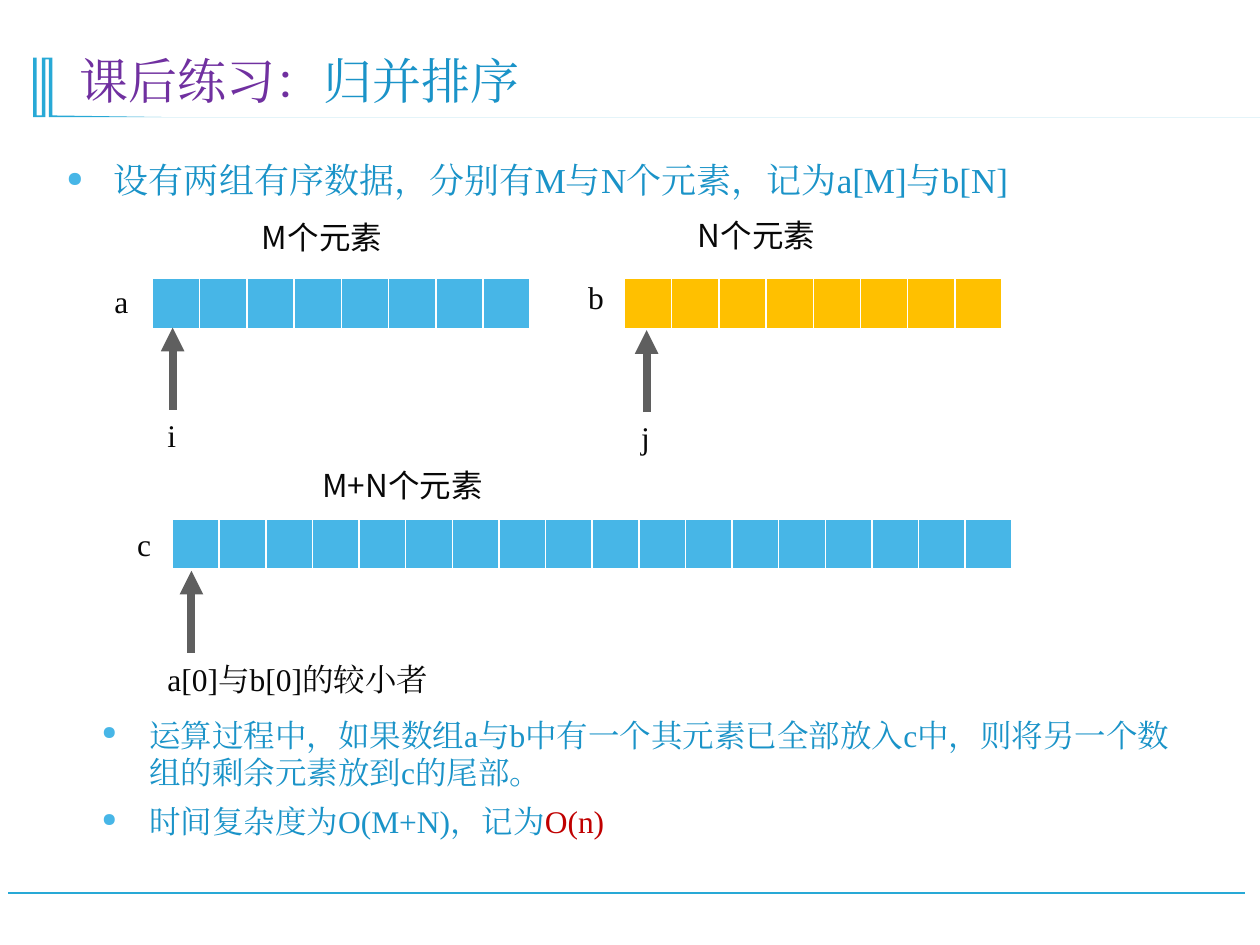
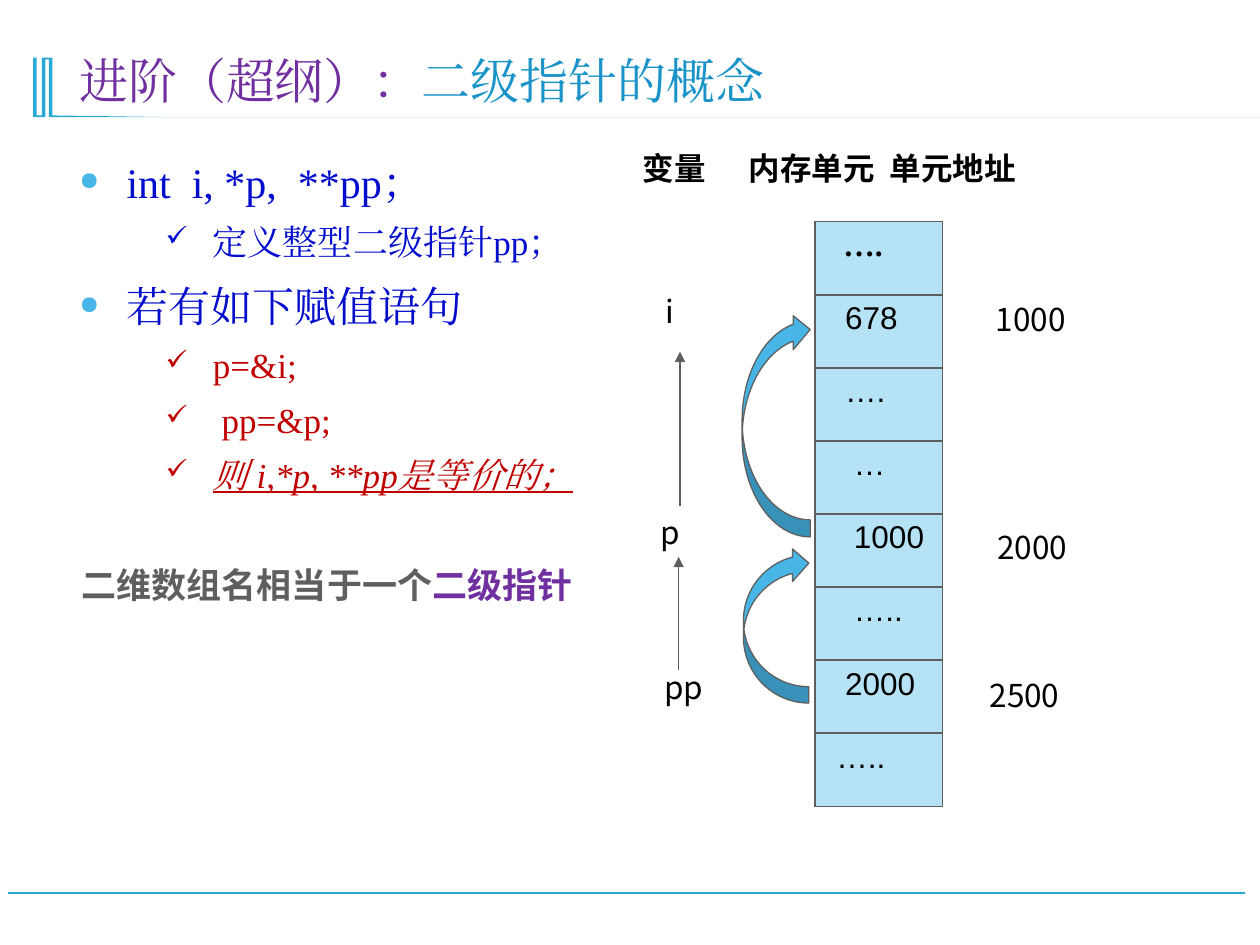
"""Builds two lecture slides: merging sorted arrays and pointers to pointers."""
from dataclasses import dataclass, replace
from typing import Optional, Sequence

import lxml.etree
import pptx
import pptx.dml.color
import pptx.enum.shapes
import pptx.enum.text
import pptx.oxml
import pptx.oxml.ns
import pptx.util

Pt = pptx.util.Pt
qn = pptx.oxml.ns.qn


@dataclass(frozen=True)
class Theme:
    """Colours, fonts and type sizes."""
    accent: str = "28A9D6"
    blue: str = "1A93C8"
    sky: str = "47B6E7"
    pale: str = "B5E2F5"
    gold: str = "FFC000"
    purple: str = "7030A0"
    navy: str = "030DCD"
    red: str = "C00000"
    grey: str = "5F5F5F"
    ink: str = "080808"
    black: str = "000000"
    white: str = "FFFFFF"
    serif: str = "Times New Roman"
    sans: str = "Noto Sans CJK SC"
    digits: str = "Arial"
    title: float = 28
    lead: float = 24
    body: float = 20
    label: float = 18


THEME = Theme()


@dataclass(frozen=True)
class Span:
    """One run of text with its look."""
    text: str
    size: float = THEME.label
    color: str = THEME.ink
    font: str = THEME.serif
    bold: bool = False
    italic: bool = False
    underline: bool = False


@dataclass(frozen=True)
class Bullet:
    """Bullet mark and spacing of a paragraph level."""
    mark: str
    percent: int
    indent: float
    spacing: float
    before: float = 0
    color: Optional[str] = None
    level: int = 0


@dataclass(frozen=True)
class Line:
    """A paragraph made of spans."""
    spans: Sequence[Span]
    bullet: Optional[Bullet] = None


@dataclass(frozen=True)
class Box:
    """Position and size in points."""
    left: float
    top: float
    width: float
    height: float = 28.8

    def lengths(self) -> list:
        """Returns the four values as lengths."""
        return [Pt(v) for v in (self.left, self.top, self.width, self.height)]


@dataclass(frozen=True)
class Label:
    """A span at a place."""
    span: Span
    box: Box


@dataclass(frozen=True)
class Arrow:
    """A vertical arrow pointing up."""
    x: float
    bottom: float
    top: float
    weight: float


@dataclass(frozen=True)
class Array:
    """A row of equal, empty cells."""
    box: Box
    count: int
    color: str


@dataclass(frozen=True)
class Memory:
    """Content of one memory cell and its left margin."""
    span: Span
    margin: float


def rgb(value: str) -> pptx.dml.color.RGBColor:
    """Turns a hex string into a colour."""
    return pptx.dml.color.RGBColor.from_string(value)


def child(parent, tag: str, **attributes: str):
    """Appends a drawing element."""
    return lxml.etree.SubElement(parent, qn(tag), attributes)


def add_span(paragraph, span: Span) -> None:
    """Adds a run to a paragraph."""
    run = paragraph.add_run()
    run.text = span.text
    font = run.font
    font.size, font.name, font.bold = Pt(span.size), span.font, span.bold
    font.color.rgb = rgb(span.color)
    if span.italic:
        font.italic = True
    if span.underline:
        font.underline = True
    child(run.font._element, "a:ea", typeface=span.font)


def apply_bullet(paragraph, bullet: Bullet, first: bool) -> None:
    """Sets the bullet mark, indent and spacing."""
    properties = paragraph._p.get_or_add_pPr()
    properties.set("marL", str(Pt(bullet.indent)))
    properties.set("indent", str(-Pt(27)))
    if bullet.color:
        child(child(properties, "a:buClr"), "a:srgbClr", val=bullet.color)
    child(properties, "a:buSzPct", val=str(bullet.percent * 1000))
    child(properties, "a:buChar", char=bullet.mark)
    paragraph.level = bullet.level
    paragraph.line_spacing = bullet.spacing
    if not first:
        paragraph.space_before = Pt(bullet.before)


def add_text(slide, box: Box, lines: Sequence[Line], bottom: bool = False) -> None:
    """Adds a wrapped text box."""
    frame = slide.shapes.add_textbox(*box.lengths()).text_frame
    frame.word_wrap = True
    if bottom:
        frame.vertical_anchor = pptx.enum.text.MSO_ANCHOR.BOTTOM
    for index, line in enumerate(lines):
        paragraph = frame.add_paragraph() if index else frame.paragraphs[0]
        if line.bullet:
            apply_bullet(paragraph, line.bullet, index == 0)
        for span in line.spans:
            add_span(paragraph, span)


def add_label(slide, label: Label) -> None:
    """Adds a one-line label."""
    add_text(slide, label.box, [Line([label.span])])


def add_line(slide, start: tuple, end: tuple, color: str, weight: float):
    """Adds a straight line without shadow."""
    kind = pptx.enum.shapes.MSO_CONNECTOR.STRAIGHT
    line = slide.shapes.add_connector(kind, *[Pt(v) for v in (*start, *end)])
    line.line.color.rgb = rgb(color)
    line.line.width = Pt(weight)
    child(line._element.spPr, "a:effectLst")
    return line


def add_arrow(slide, arrow: Arrow) -> None:
    """Adds an upward arrow."""
    line = add_line(slide, (arrow.x, arrow.bottom), (arrow.x, arrow.top), THEME.grey, arrow.weight)
    child(line.line._get_or_add_ln(), "a:tailEnd", type="triangle")


def paint_cell(cell, color: str, edge: str, bottom: float) -> None:
    """Fills a cell and draws its borders."""
    cell.fill.solid()
    cell.fill.fore_color.rgb = rgb(color)
    properties = cell._tc.get_or_add_tcPr()
    for index, side in enumerate("LRTB"):
        weight = bottom if side == "B" else 1
        border = lxml.etree.Element(qn(f"a:ln{side}"), {"w": str(Pt(weight))})
        child(child(border, "a:solidFill"), "a:srgbClr", val=edge)
        properties.insert(index, border)


def add_grid(slide, rows: int, columns: int, box: Box):
    """Adds a plain table with equal rows and columns."""
    table = slide.shapes.add_table(rows, columns, *box.lengths()).table
    table.first_row = table.horz_banding = False
    for column in table.columns:
        column.width = Pt(box.width / columns)
    for row in table.rows:
        row.height = Pt(box.height / rows)
    return table


def add_array(slide, array: Array) -> None:
    """Draws an array as a row of cells."""
    for cell in add_grid(slide, 1, array.count, array.box).iter_cells():
        cell.margin_top = cell.margin_bottom = 0
        paint_cell(cell, array.color, THEME.white, 3)


def add_memory(slide, box: Box, contents: Sequence[Memory]) -> None:
    """Draws the memory column."""
    for cell, memory in zip(add_grid(slide, len(contents), 1, box).iter_cells(), contents):
        paint_cell(cell, THEME.pale, THEME.grey, 1)
        cell.margin_left = Pt(memory.margin)
        add_span(cell.text_frame.paragraphs[0], memory.span)


def add_pointer_curve(slide, box: Box) -> None:
    """Adds a curved arrow from a lower cell to a higher one."""
    kind = pptx.enum.shapes.MSO_SHAPE.CURVED_RIGHT_ARROW
    curve = slide.shapes.add_shape(kind, *box.lengths())
    curve.shadow.inherit = False
    curve.fill.solid()
    curve.fill.fore_color.rgb = rgb(THEME.sky)
    curve.line.color.rgb = rgb(THEME.grey)
    curve.line.width = Pt(0.75)
    curve._element.spPr.get_or_add_xfrm().set("flipV", "1")


def start_slide(deck, topic: str, subject: str):
    """Adds a slide with the footer line, title ornament and title."""
    slide = deck.slides.add_slide(deck.slide_layouts[6])
    add_line(slide, (711.4, 510.3), (4.5, 510.3), THEME.accent, 1.25)
    outline = [(29.5, 66.2), (100.8, 66.6), (726.5, 67.4), (28.1, 67.4), (28.1, 34.3),
               (25.6, 34.3), (25.6, 67.4), (19.4, 67.4), (19.4, 33.3), (21.3, 33.3),
               (21.3, 65.5), (23.8, 65.5), (23.8, 33.3)]
    builder = slide.shapes.build_freeform(29.5, 33.3, scale=Pt(1))
    builder.add_line_segments(outline, close=True)
    ornament = builder.convert_to_shape()
    ornament.shadow.inherit = False
    ornament.fill.solid()
    ornament.fill.fore_color.rgb = rgb(THEME.accent)
    ornament.line.fill.background()
    title = [Span(topic, THEME.title, THEME.purple), Span(subject, THEME.title, THEME.blue)]
    add_text(slide, Box(38.2, 20.2, 637.2, 46), [Line(title, None)], bottom=True)
    return slide


def build_merge_slide(deck, dot: Bullet) -> None:
    """Builds the merge sort slide."""
    slide = start_slide(deck, "课后练习：", "归并排序")
    premise = Span("设有两组有序数据，分别有M与N个元素，记为a[M]与b[N]", THEME.body, THEME.blue)
    add_text(slide, Box(31, 90, 624.2, 36.7), [Line([premise], dot)])
    for array in (Array(Box(87.1, 159.1, 216, 29.5), 8, THEME.sky),
                  Array(Box(356.8, 159.1, 216, 29.5), 8, THEME.gold),
                  Array(Box(98.6, 296.6, 480, 29.5), 18, THEME.sky)):
        add_array(slide, array)
    for x, bottom in ((98.64, 234), (369.5, 235.5), (109.4, 373)):
        add_arrow(slide, Arrow(x, bottom, bottom - 46.8, 4.5))
    for text, left, top, width in (("i", 88.6, 234, 27.4), ("j", 359.3, 235.5, 27.4),
                                   ("a", 58.3, 157.7, 27.4), ("b", 329, 155.5, 27.4),
                                   ("c", 71.3, 296.6, 27.4),
                                   ("a[0]与b[0]的较小者", 88.6, 373.7, 177.8)):
        add_label(slide, Label(Span(text), Box(left, top, width)))
    for text, left, top, width in (("M个元素", 142.6, 121, 146), ("N个元素", 391.7, 120.2, 90),
                                   ("M+N个元素", 177.1, 262.8, 116.6)):
        add_label(slide, Label(Span(text, font=THEME.sans), Box(left, top, width)))
    note = replace(dot, spacing=1.0, before=6)
    rest = "运算过程中，如果数组a与b中有一个其元素已全部放入c中，则将另一个数组的剩余元素放到c的尾部。"
    add_text(slide, Box(51.1, 405.4, 624.2, 78.5), [
        Line([Span(rest, color=THEME.blue)], note),
        Line([Span("时间复杂度为O(M+N)，记为", color=THEME.blue), Span("O(n)", color=THEME.red)], note)])


def build_pointer_slide(deck, dot: Bullet) -> None:
    """Builds the pointer to pointer slide."""
    slide = start_slide(deck, "进阶（超纲）：", "二级指针的概念")
    check = Bullet("✓", 80, 76.3, 1.3, level=1)
    step = Span("", THEME.body, THEME.red)
    add_text(slide, Box(38.2, 89.3, 320, 240), [
        Line([Span("int  i, *p,  **pp；", THEME.lead, THEME.navy)], dot),
        Line([Span("定义整型二级指针pp；", THEME.body, THEME.navy)], check),
        Line([Span("若有如下赋值语句", THEME.lead, THEME.navy)], dot),
        Line([replace(step, text="p=&i;")], check),
        Line([replace(step, text=" pp=&p;")], check),
        Line([replace(step, text="则 i,*p, **pp是等价的；", italic=True, underline=True)], check)])
    value = Span("", color=THEME.black, font=THEME.digits)
    contents = [Memory(Span("….", color=THEME.black, bold=True), 16.2)]
    contents += [Memory(replace(value, text=text), margin) for text, margin in (
        ("678", 17.2), ("….", 17.2), ("…", 22.2), ("1000", 22.2),
        ("…..", 22.2), ("2000", 17.2), ("…..", 12.2))]
    add_memory(slide, Box(465.8, 126.7, 72.7, 334.1), contents)
    plain = Span("", color=THEME.black, font=THEME.sans)
    for text, left, top in (("i", 373.4, 163.4), ("p", 370.5, 289.4), ("pp", 372.6, 378),
                            ("1000", 562, 167.8), ("2000", 562.7, 298), ("2500", 558.4, 383)):
        add_label(slide, Label(replace(plain, text=text), Box(left, top, 70)))
    for text, left in (("变量", 360.2), ("内存单元", 420.8), ("单元地址", 501.4)):
        add_label(slide, Label(replace(plain, text=text, bold=True), Box(left, 81.4, 100)))
    for box in (Box(424.8, 312.5, 37.4, 89.3), Box(424.1, 178.6, 38.9, 128.2)):
        add_pointer_curve(slide, box)
    for arrow in (Arrow(388.6, 289.4, 200.9, 0.75), Arrow(387.8, 383, 318.2, 0.75)):
        add_arrow(slide, arrow)
    remark = Span("二维数组名相当于一个", THEME.body, THEME.grey, THEME.sans, bold=True)
    add_text(slide, Box(39.6, 318.2, 310, 31.7),
             [Line([remark, replace(remark, text="二级指针", color=THEME.purple)])])


def main() -> None:
    """Builds and saves the deck."""
    deck = pptx.Presentation()
    deck.slide_width, deck.slide_height = Pt(720), Pt(540)
    dot = Bullet("●", 60, 27, 0.9, 13.5, THEME.sky)
    build_merge_slide(deck, dot)
    build_pointer_slide(deck, dot)
    deck.save("out.pptx")


if __name__ == "__main__":
    main()
